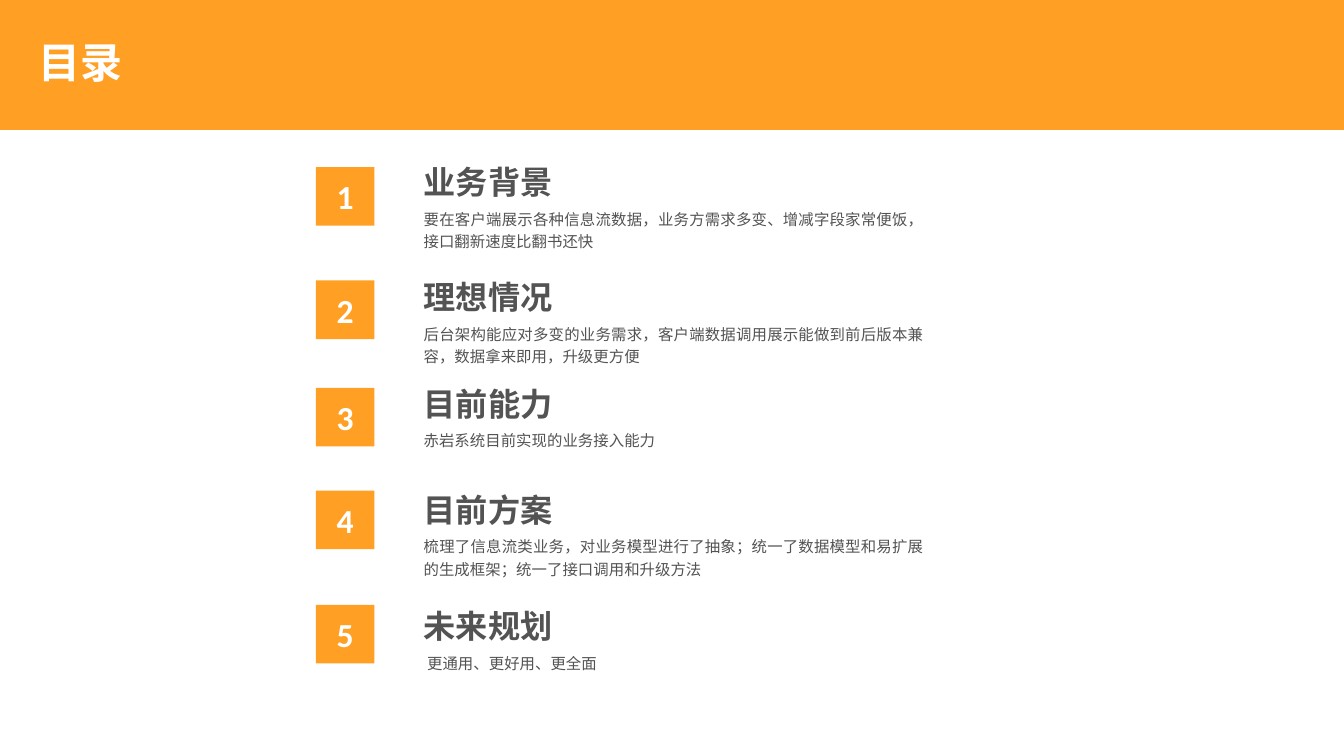
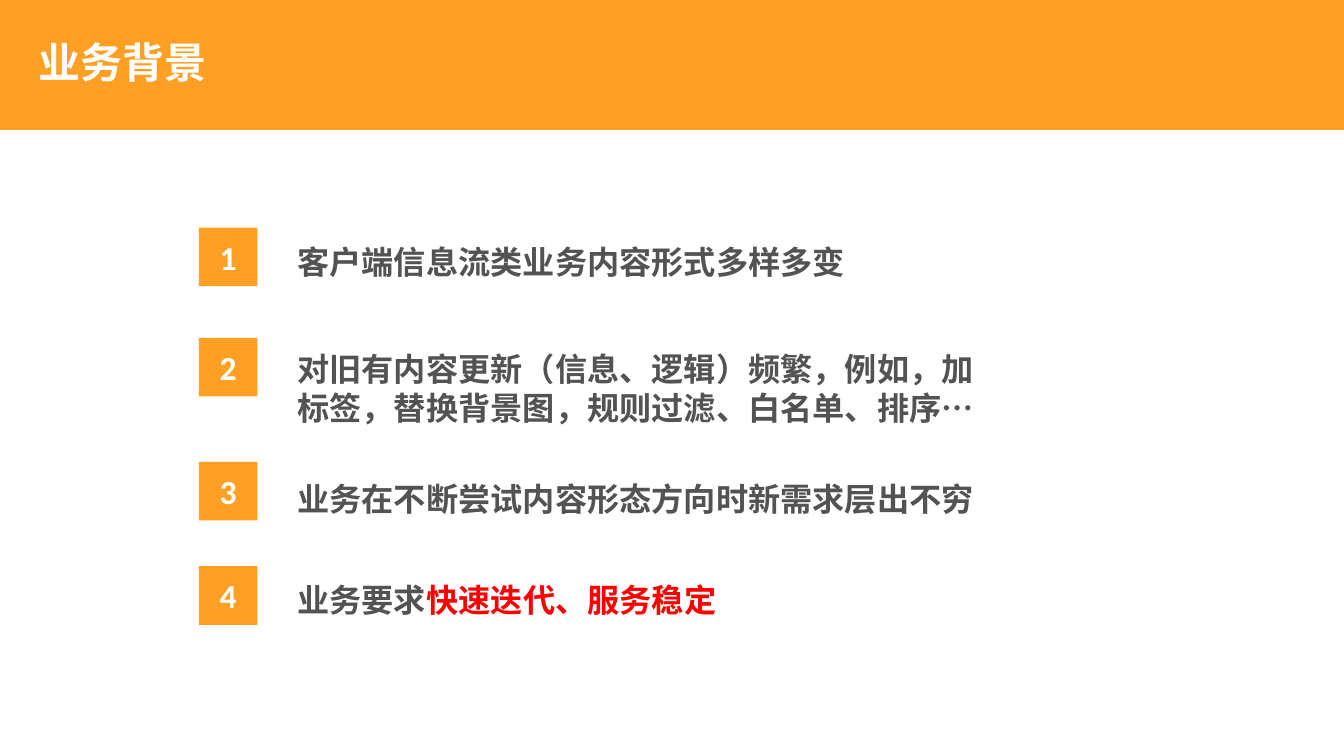
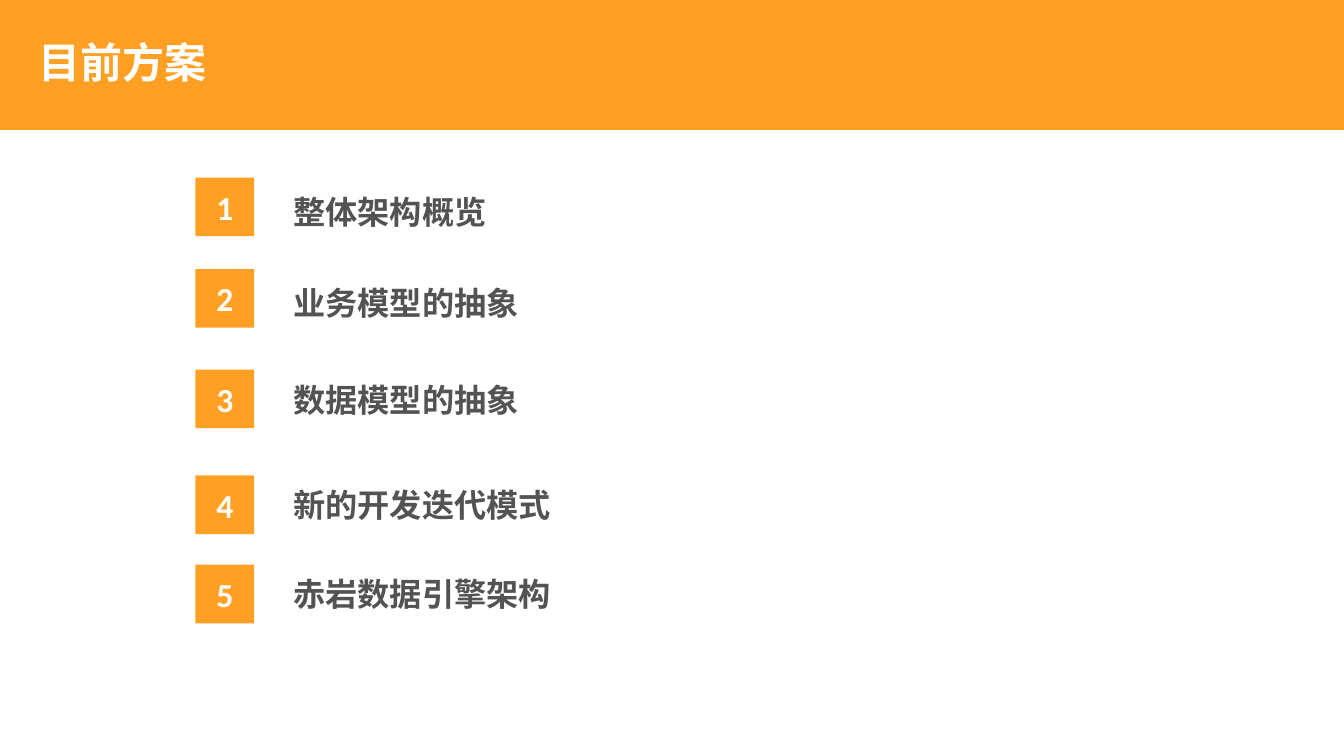
from dataclasses import dataclass

from lxml.etree import SubElement
from pptx import Presentation
from pptx.dml.color import RGBColor
from pptx.enum.shapes import MSO_SHAPE
from pptx.enum.text import MSO_ANCHOR, MSO_AUTO_SIZE, PP_ALIGN
from pptx.oxml.ns import qn
from pptx.util import Inches, Pt

# Shared style
ORANGE = RGBColor(0xFF, 0xA0, 0x24)
GREY = RGBColor(0x53, 0x53, 0x53)
RED = RGBColor(0xFF, 0x00, 0x00)
WHITE = RGBColor(0xFF, 0xFF, 0xFF)
CHINESE_FONT = "Noto Sans CJK SC"
NUMBER_FONT = "Calibri"
SLIDE_WIDTH, SLIDE_HEIGHT = Inches(13.333), Inches(7.5)
INSET = Inches(0.05)

# Vertical measures, in percent of the slide height
BADGE_SIDE = 7.75
BOX_PADDING = 1.3
HEADING_LINE = 5.2
DETAIL_LINE = 3
DETAIL_DROP = 5.8
DETAIL_WIDTH = 37.95  # percent of the slide width


@dataclass(frozen=True)
class Span:
    text: str
    color: RGBColor = GREY


@dataclass(frozen=True)
class Entry:
    """A numbered entry; tops are percent of the slide height."""
    badge_top: float
    heading_top: float
    heading: tuple[Span, ...]
    heading_lines: int = 1
    detail: str = ""
    detail_lines: int = 1


@dataclass(frozen=True)
class ListPage:
    """A page of entries; columns are percent of the slide width."""
    title: str
    badge_left: float
    heading_left: float
    heading_width: float
    entries: tuple[Entry, ...]


PAGES = (
    ListPage("目录", 23.5, 31.15, 24.3, (
        Entry(22.1, 20.8, (Span("业务背景"),), 1,
              "要在客户端展示各种信息流数据，业务方需求多变、增减字段家常便饭，接口翻新速度比翻书还快", 2),
        Entry(37.1, 36, (Span("理想情况"),), 1,
              "后台架构能应对多变的业务需求，客户端数据调用展示能做到前后版本兼容，数据拿来即用，升级更方便", 2),
        Entry(51.3, 50.1, (Span("目前能力"),), 1, "赤岩系统目前实现的业务接入能力"),
        Entry(64.9, 64.1, (Span("目前方案"),), 1,
              "梳理了信息流类业务，对业务模型进行了抽象；统一了数据模型和易扩展的生成框架；统一了接口调用和升级方法", 2),
        Entry(80, 79.5, (Span("未来规划"),), 1, " 更通用、更好用、更全面"),
    )),
    ListPage("业务背景", 14.8, 21.75, 51.3, (
        Entry(30.1, 31.3, (Span("客户端信息流类业务内容形式多样多变"),)),
        Entry(44.7, 45.5, (Span("对旧有内容更新（信息、逻辑）频繁，例如，加标签，替换背景图，规则过滤、白名单、排序…"),), 2),
        Entry(61.1, 62.7, (Span("业务在不断尝试内容形态方向时新需求层出不穷"),)),
        Entry(74.9, 76.1, (Span("业务要求"), Span("快速迭代、服务稳定", RED))),
    )),
    ListPage("目前方案", 14.55, 21.45, 57.9, (
        Entry(23.5, 24.8, (Span("整体架构概览"),)),
        Entry(35.6, 36.8, (Span("业务模型的抽象"),)),
        Entry(48.9, 49.6, (Span("数据模型的抽象"),)),
        Entry(62.9, 63.5, (Span("新的开发迭代模式"),)),
        Entry(74.7, 75.3, (Span("赤岩数据引擎架构"),)),
    )),
)


def across(percent: float) -> int:
    return round(SLIDE_WIDTH * percent / 100)


def down(percent: float) -> int:
    return round(SLIDE_HEIGHT * percent / 100)


def prepare_frame(shape, anchor: MSO_ANCHOR, fit: MSO_AUTO_SIZE):
    """Set insets, wrapping and anchor; return the first paragraph."""
    frame = shape.text_frame
    frame.auto_size = fit
    frame.word_wrap = True
    frame.vertical_anchor = anchor
    frame.margin_left = frame.margin_right = INSET
    frame.margin_top = frame.margin_bottom = INSET
    return frame.paragraphs[0]


def add_span(para, span: Span, size: float, bold: bool = True, face: str = CHINESE_FONT) -> None:
    run = para.add_run()
    run.text = span.text
    font = run.font
    font.size, font.bold, font.name = Pt(size), bold, face
    font.color.rgb = span.color
    SubElement(run._r.get_or_add_rPr(), qn("a:ea")).set("typeface", face)


def add_block(page, kind: MSO_SHAPE, left: int, top: int, width: int, height: int):
    block = page.shapes.add_shape(kind, left, top, width, height)
    block.shadow.inherit = False
    block.fill.solid()
    block.fill.fore_color.rgb = ORANGE
    block.line.fill.background()
    return block


def add_title_band(page, title: str) -> None:
    band = add_block(page, MSO_SHAPE.RECTANGLE, 0, Inches(-0.01), SLIDE_WIDTH, Inches(1.3))
    page.shapes._spTree.insert(2, band._element)  # behind the title
    box = page.shapes.title
    box.left, box.top = across(2.5), down(5.5)
    box.width, box.height = across(35), down(6.7)
    para = prepare_frame(box, MSO_ANCHOR.TOP, MSO_AUTO_SIZE.SHAPE_TO_FIT_TEXT)
    para.alignment = PP_ALIGN.LEFT
    para.line_spacing = 0.8
    para.space_before = Pt(6)
    add_span(para, Span(title, WHITE), 30)


def add_badge(page, number: int, left: float, top: float) -> None:
    side = down(BADGE_SIDE)
    badge = add_block(page, MSO_SHAPE.ROUNDED_RECTANGLE, across(left), down(top), side, side)
    badge.adjustments[0] = 0
    para = prepare_frame(badge, MSO_ANCHOR.MIDDLE, MSO_AUTO_SIZE.NONE)
    para.alignment = PP_ALIGN.CENTER
    add_span(para, Span(str(number), WHITE), 24, face=NUMBER_FONT)


def add_text(page, left: float, top: float, width: float, height: float, anchor: MSO_ANCHOR):
    box = page.shapes.add_textbox(across(left), down(top), across(width), down(height))
    return prepare_frame(box, anchor, MSO_AUTO_SIZE.SHAPE_TO_FIT_TEXT)


def add_entry(page, layout: ListPage, number: int, entry: Entry) -> None:
    add_badge(page, number, layout.badge_left, entry.badge_top)
    # Heading
    height = BOX_PADDING + HEADING_LINE * entry.heading_lines
    para = add_text(page, layout.heading_left, entry.heading_top,
                    layout.heading_width, height, MSO_ANCHOR.MIDDLE)
    for span in entry.heading:
        add_span(para, span, 23)
    # Detail under the heading
    if entry.detail:
        height = BOX_PADDING + DETAIL_LINE * entry.detail_lines
        para = add_text(page, layout.heading_left, entry.heading_top + DETAIL_DROP,
                        DETAIL_WIDTH, height, MSO_ANCHOR.TOP)
        para.alignment = PP_ALIGN.JUSTIFY
        para.line_spacing = Pt(16)
        add_span(para, Span(entry.detail), 11, bold=False)


def main() -> None:
    deck = Presentation()
    deck.slide_width, deck.slide_height = SLIDE_WIDTH, SLIDE_HEIGHT
    title_only = deck.slide_layouts.get_by_name("Title Only")
    for layout in PAGES:
        page = deck.slides.add_slide(title_only)
        add_title_band(page, layout.title)
        for number, entry in enumerate(layout.entries, start=1):
            add_entry(page, layout, number, entry)
    deck.save("out.pptx")


if __name__ == "__main__":
    main()
